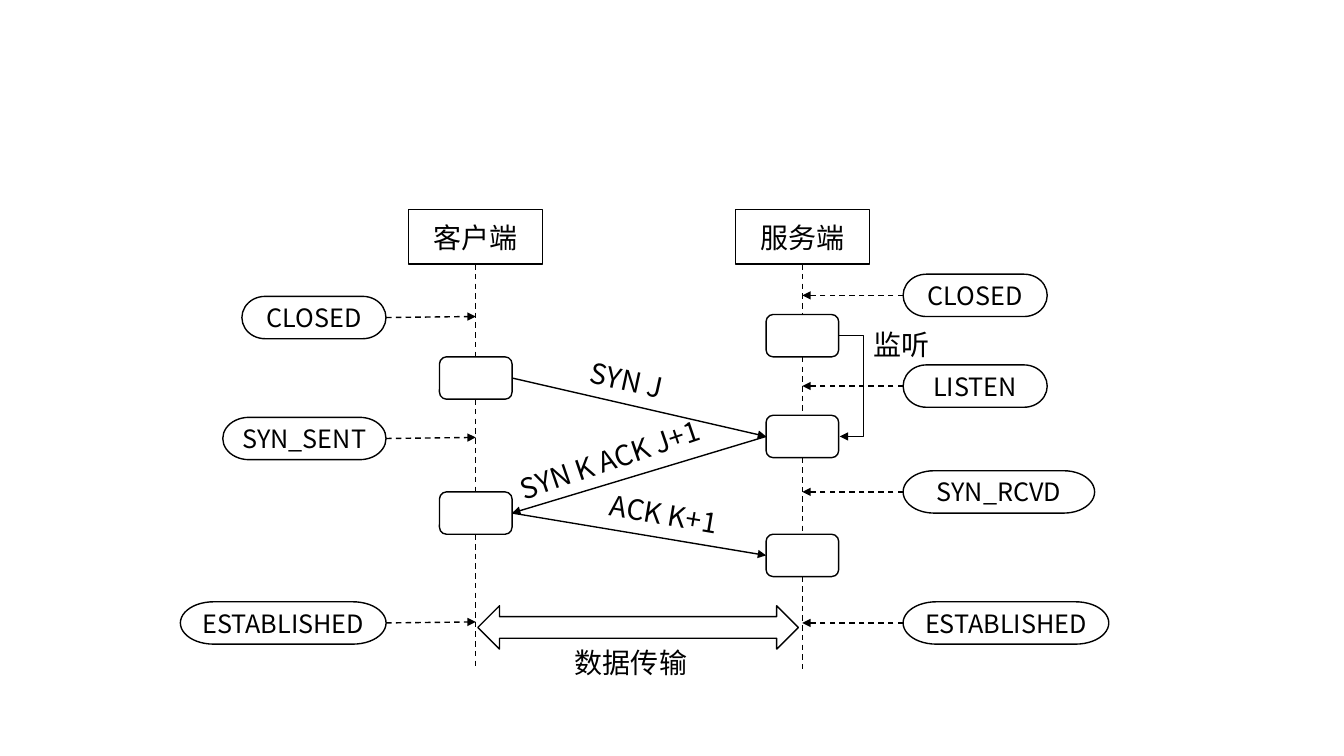
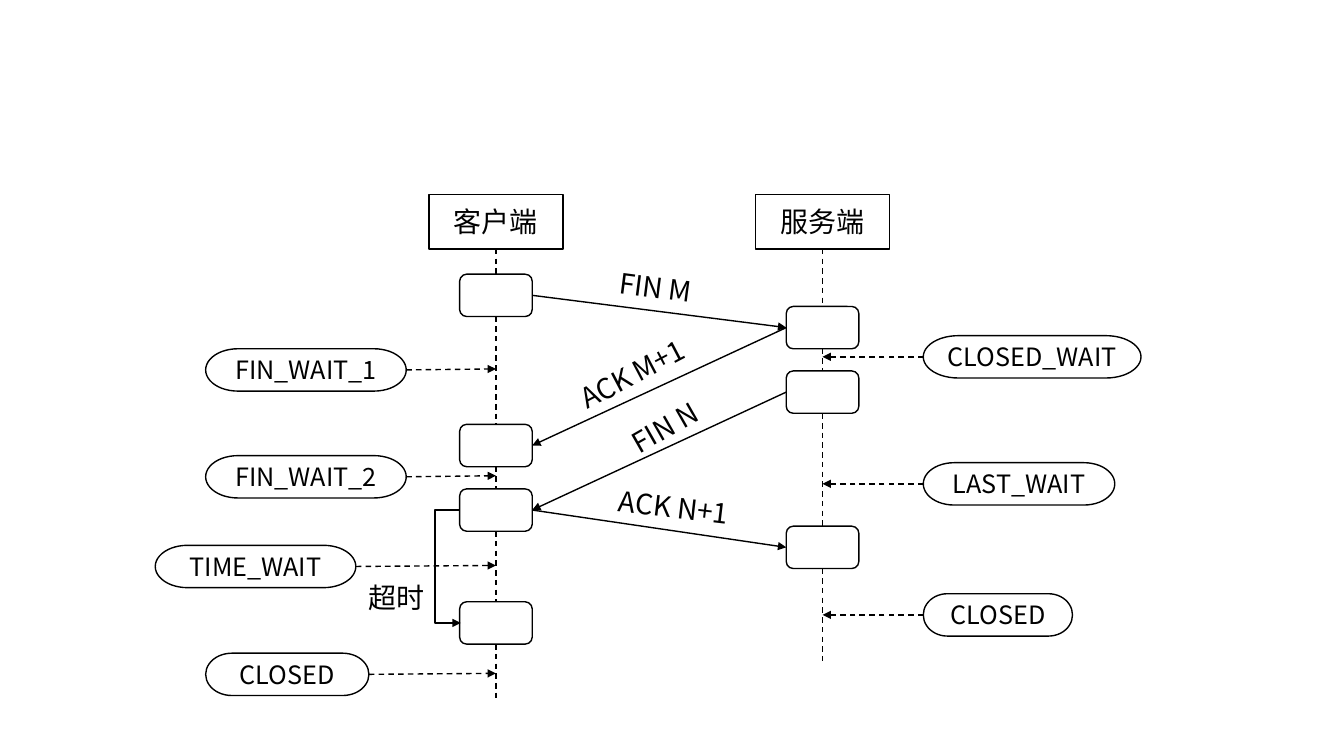
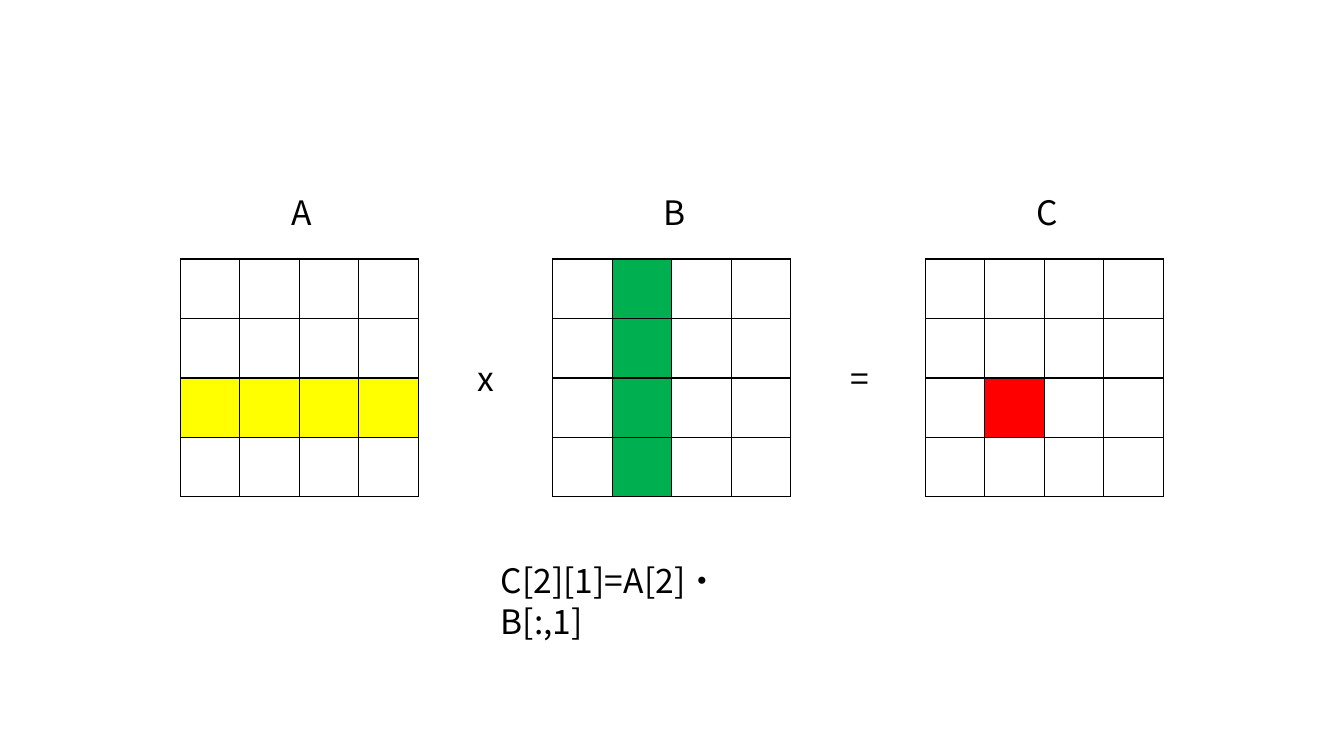
"""Draws two protocol sequence charts and a matrix product on a grid of tenth-inch columns and rows."""
from itertools import product

from lxml import etree
from pptx import Presentation
from pptx import util as u
from pptx.dml.color import RGBColor
from pptx.enum import dml, shapes, text
from pptx.oxml import ns

COLORS = {"ink": "000000", "row": "FFFF00", "column": "00B050", "result": "FF0000"}
FONT = "Noto Sans CJK SC"
COLS, ROWS = 133.33, 75
HEAD_W, HEAD_H = 13.3, 5.4
BOX_W, BOX_H = 7.2, 4.2
CELL = 5.9


def rgb(name):
    return RGBColor.from_string(COLORS[name])


def grid(*units):
    return [u.Emu(round(n * u.Inches(0.1))) for n in units]


def child(parent, tag, **attrs):
    return etree.SubElement(parent, ns.qn(tag), attrs)


def write(sp, words, size=20, align="CENTER", anchor="MIDDLE", wrap=False):
    tf = sp.text_frame
    tf.word_wrap = wrap
    tf.vertical_anchor = getattr(text.MSO_ANCHOR, anchor)
    p = tf.paragraphs[0]
    p.alignment = getattr(text.PP_ALIGN, align)
    r = p.add_run()
    r.text = words
    r.font.size = u.Pt(size)
    r.font.name = FONT
    r.font.color.rgb = rgb("ink")
    child(r.font._element, "a:ea", typeface=FONT)


class Deck:
    def __init__(self):
        self.prs = Presentation()
        self.prs.slide_width, self.prs.slide_height = grid(COLS, ROWS)
        self.slide = None

    def new_slide(self):
        self.slide = self.prs.slides.add_slide(self.prs.slide_layouts[6])

    def stroke(self, sp, dash=False):
        sp.line.color.rgb = rgb("ink")
        sp.line.width = u.Pt(1)
        if dash:
            sp.line.dash_style = dml.MSO_LINE.DASH

    def shape(self, kind, x, y, w, h, words="", size=20):
        sp = self.slide.shapes.add_shape(getattr(shapes.MSO_SHAPE, kind), *grid(x, y, w, h))
        sp.shadow.inherit = False
        sp.fill.background()
        self.stroke(sp)
        if words:
            write(sp, words, size)

    def label(self, x, y, w, words, turn=0, h=4.4, **fmt):
        sp = self.slide.shapes.add_textbox(*grid(x, y, w, h))
        write(sp, words, anchor="TOP", **fmt)
        sp.text_frame.auto_size = text.MSO_AUTO_SIZE.SHAPE_TO_FIT_TEXT
        sp.rotation = turn

    def line(self, x1, y1, x2, y2, kind="STRAIGHT", dash=False, arrow=True):
        sp = self.slide.shapes.add_connector(getattr(shapes.MSO_CONNECTOR, kind), *grid(x1, y1, x2, y2))
        self.stroke(sp, dash)
        if arrow:
            child(sp.line._get_or_add_ln(), "a:tailEnd", type="triangle")
        child(sp._element.spPr, "a:effectLst")
        return sp

    def loop(self, x, y1, y2, reach):
        step = 0.1
        sp = self.line(x, y1, x + step, y2, kind="ELBOW")
        guides = sp._element.spPr.find(ns.qn("a:prstGeom")).get_or_add_avLst()
        child(guides, "a:gd", name="adj1", fmla=f"val {round(reach / step * 100000)}")

    def lifeline(self, x, top, name, boxes, end):
        self.shape("RECTANGLE", x - HEAD_W / 2, top, HEAD_W, HEAD_H, name)
        start = top + HEAD_H
        for y in boxes:
            self.shape("ROUNDED_RECTANGLE", x - BOX_W / 2, y, BOX_W, BOX_H)
            self.line(x, start, x, y, dash=True, arrow=False)
            start = y + BOX_H
        self.line(x, start, x, end, dash=True, arrow=False)

    def state(self, axis, x, y, w, words):
        self.shape("FLOWCHART_TERMINATOR", x, y, w, BOX_H, words, 18)
        mid = y + BOX_H / 2
        if x < axis:
            self.line(x + w, mid, axis, mid - 0.1, dash=True)
        else:
            self.line(x, mid, axis, mid, dash=True)

    def sequence(self, top, client, server, messages, labels):
        for name, side in (("客户端", client), ("服务端", server)):
            self.lifeline(side["x"], top, name, side["boxes"], side["end"])
            for state in side["states"]:
                self.state(side["x"], *state)
        left, right = client["x"] + BOX_W / 2, server["x"] - BOX_W / 2
        for sender, i, j in messages:
            y1, y2 = client["boxes"][i] + BOX_H / 2, server["boxes"][j] + BOX_H / 2
            ends = (left, y1, right, y2) if sender == "client" else (right, y2, left, y1)
            self.line(*ends)
        for label in labels:
            self.label(*label)

    def matrix(self, x, y, color, marked, n=4):
        table = self.slide.shapes.add_table(n, n, *grid(x, y, n * CELL, n * CELL)).table
        table.first_row = table.horz_banding = False
        for i, j in product(range(n), repeat=2):
            cell = table.cell(i, j)
            for side in "LRTB":
                ln = child(cell._tc.get_or_add_tcPr(), f"a:ln{side}", w=str(u.Pt(1)))
                child(child(ln, "a:solidFill"), "a:srgbClr", val=COLORS["ink"])
            if marked(i, j):
                cell.fill.solid()
                cell.fill.fore_color.rgb = rgb(color)
            else:
                cell.fill.background()


def draw_opening(deck):
    deck.new_slide()
    client = {"x": 47.2, "boxes": [35.4, 48.8], "end": 66.4, "states": [
        (24, 29.4, 14.3, "CLOSED"), (22.1, 41.4, 16.2, "SYN_SENT"),
        (17.9, 59.7, 20.4, "ESTABLISHED")]}
    server = {"x": 79.6, "boxes": [31.2, 41.2, 53], "end": 66.4, "states": [
        (89.6, 27.2, 14.3, "CLOSED"), (89.6, 36.2, 14.3, "LISTEN"),
        (89.6, 46.7, 19, "SYN_RCVD"), (89.6, 59.7, 20.4, "ESTABLISHED")]}
    deck.sequence(20.8, client, server,
                  [("client", 0, 1), ("server", 1, 1), ("client", 1, 2)],
                  [(57.5, 35.5, 9.3, "SYN J", 12.4), (50.1, 43.4, 20.8, "SYN K ACK J+1", 341.2),
                   (59.4, 48.8, 12.9, "ACK K+1", 9.7), (85.6, 32, 7.6, "监听"),
                   (56, 63.5, 13.2, "数据传输")])
    deck.shape("LEFT_RIGHT_ARROW", 47.4, 60.1, 31.8, 4.3)
    deck.loop(83.2, 33.3, 43.3, 2.5)


def draw_closing(deck):
    deck.new_slide()
    client = {"x": 49.2, "boxes": [27.2, 42.1, 48.5, 59.7], "end": 69.4, "states": [
        (20.4, 34.6, 19.9, "FIN_WAIT_1"), (20.4, 45.2, 19.9, "FIN_WAIT_2"),
        (15.4, 54.1, 19.9, "TIME_WAIT"), (20.4, 64.8, 16.2, "CLOSED")]}
    server = {"x": 81.6, "boxes": [30.4, 36.8, 52.2], "end": 65.6, "states": [
        (91.6, 33.3, 21.6, "CLOSED_WAIT"), (91.6, 45.9, 19, "LAST_WAIT"),
        (91.6, 58.9, 14.8, "CLOSED")]}
    deck.sequence(19.3, client, server,
                  [("client", 0, 0), ("server", 1, 0), ("server", 2, 1), ("client", 2, 2)],
                  [(60.4, 26.3, 9.3, "FIN M", 7.4), (56.1, 34.9, 13.3, "ACK M+1", 332.3),
                   (61.4, 40.2, 9.1, "FIN N", 330.2), (60.3, 48.1, 13.1, "ACK N+1", 6.8),
                   (35.5, 57.1, 7.6, "超时")])
    deck.loop(45.6, 50.6, 61.8, -2.5)


def draw_product(deck):
    deck.new_slide()
    step = 36.95
    fmt = {"size": 24, "align": "LEFT", "h": 5}
    matrices = [("A", "row", lambda i, j: i == 2),
                ("B", "column", lambda i, j: j == 1),
                ("C", "result", lambda i, j: (i, j) == (2, 1))]
    for k, (name, color, marked) in enumerate(matrices):
        deck.matrix(17.9 + k * step, 25.7, color, marked)
        deck.label(27.9 + k * step, 18.5, 4.1, name, **fmt)
    for k, sign in enumerate("x="):
        deck.label(46.4 + k * step, 35, 3.8, sign, **fmt)
    deck.label(48.7, 55.1, 31, "C[2][1]=A[2]・B[:,1]", wrap=True, **fmt)


def main():
    deck = Deck()
    draw_opening(deck)
    draw_closing(deck)
    draw_product(deck)
    deck.prs.save("out.pptx")


if __name__ == "__main__":
    main()
